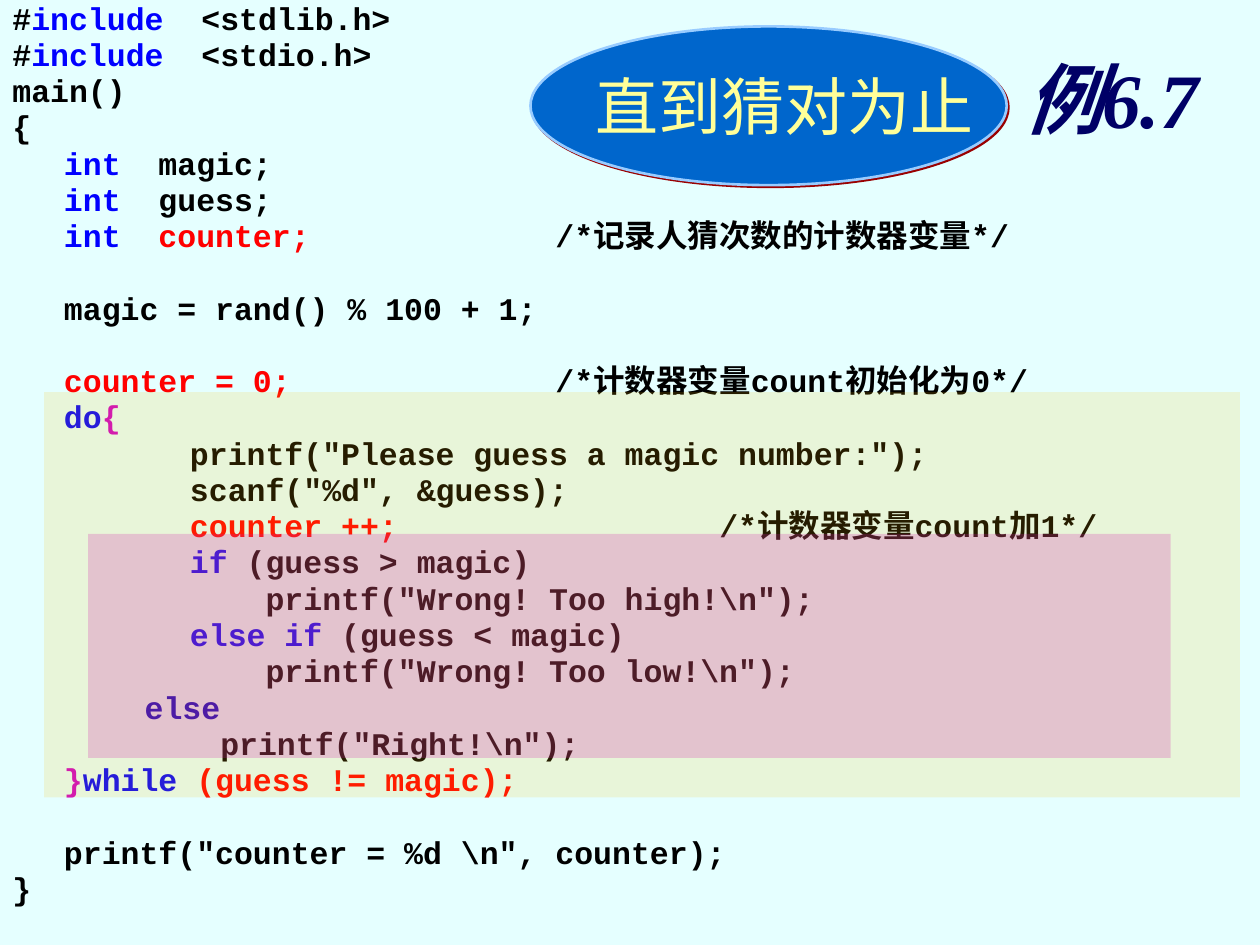
from lxml.etree import SubElement
from pptx import Presentation
from pptx.dml.color import RGBColor
from pptx.enum.shapes import MSO_SHAPE as Shape
from pptx.enum.text import MSO_ANCHOR as Anchor, MSO_AUTO_SIZE as AutoSize, PP_ALIGN as Align
from pptx.oxml import parse_xml
from pptx.oxml.ns import nsdecls, qn
from pptx.util import Inches, Pt

colour = RGBColor.from_string
deck = Presentation()
deck.slide_width, deck.slide_height = Inches(10), Inches(7.5)


def area(left, top, width, height):
    """Turn percentages of the slide into left, top, width and height."""
    across, down = deck.slide_width / 100, deck.slide_height / 100
    return int(left * across), int(top * down), int(width * across), int(height * down)


def write(para, text, name, size, ink, bold=False, italic=False):
    """Add one formatted span to a paragraph."""
    span = para.add_run()
    span.text = text
    font = span.font
    font.name, font.size, font.bold, font.italic = name, Pt(size), bold, italic
    font.color.rgb = colour(ink)
    SubElement(span._r.rPr, qn("a:ea"), typeface="Noto Sans CJK SC")


BLACK, BLUE, RED, PURPLE, NAVY = "000000", "0000FF", "FF0000", "CC00CC", "0000BF"
GAP = "gap"
CODE = [
    [("#", BLACK), ("include", BLUE), ("  <stdlib.h>", BLACK)],
    [("#", BLACK), ("include", BLUE), ("  <stdio.h>", BLACK)],
    [("main()", BLACK)],
    [("{", BLACK)],
    [("\t", BLACK), ("int", BLUE), ("  magic;", BLACK)],
    [("\t", BLACK), ("int", BLUE), ("  guess;", BLACK)],
    [("\t", BLACK), ("int  ", BLUE), ("counter;             ", RED), ("/*记录人猜次数的计数器变量*/", BLACK)],
    GAP,
    [("\tmagic = rand() % 100 + 1;", BLACK)],
    GAP,
    [("\t", BLACK), ("counter = 0;              ", RED), ("/*计数器变量count初始化为0*/", BLACK)],
    [("\t", BLACK), ("do", BLUE), ("{", PURPLE)],
    [('\t\tprintf("Please guess a magic number:");', BLACK)],
    [('\t\tscanf("%d", &guess);', BLACK)],
    [("\t\t", BLACK), ("counter ++;                 ", RED), ("/*计数器变量count加1*/", BLACK)],
    [("\t\t", BLACK), ("if", BLUE), (" (guess > magic)", BLACK)],
    [('\t\t    printf("Wrong! Too high!\\n");', BLACK)],
    [("\t\t", BLACK), ("else if", BLUE), (" (guess < magic)", BLACK)],
    [('\t\t    printf("Wrong! Too low!\\n");', BLACK)],
    [("       else", NAVY)],
    [('           printf("Right!\\n");', BLACK)],
    [("\t", BLACK), ("}", PURPLE), ("while ", BLUE), ("(guess != magic);", RED)],
    GAP,
    [('\tprintf("counter = %d \\n", counter);', BLACK)],
    [("}", BLACK)],
]
LINE_PITCH, LINE_SPACE = 20.7, 4.5

page = deck.slides.add_slide(deck.slide_layouts[5])

listing = page.shapes.add_shape(Shape.RECTANGLE, *area(0, 0, 100, 100))
listing.shadow.inherit = False
listing.fill.solid()
listing.fill.fore_color.rgb = colour("E5FFFF")
listing.line.fill.background()
frame = listing.text_frame
frame.word_wrap = True
frame.vertical_anchor = Anchor.TOP
frame.margin_top = Inches(0.06)

para, space = frame.paragraphs[0], 0
for line in CODE:
    if line == GAP:
        space += LINE_PITCH
        continue
    if line is not CODE[0]:
        para = frame.add_paragraph()
    para.alignment = Align.LEFT
    para.line_spacing = 0.75
    para.space_before = Pt(space)
    space = LINE_SPACE
    props = para._p.get_or_add_pPr()
    props.set("marL", str(Inches(0.41)))
    props.set("indent", str(-Inches(0.41)))
    props.set("defTabSz", str(Inches(1)))
    SubElement(props, qn("a:buNone"))
    stops = SubElement(props, qn("a:tabLst"))
    for stop in range(8):
        SubElement(stops, qn("a:tab"), pos=str(Inches(stop)), algn="l")
    for text, ink in line:
        write(para, text, "Courier New", 18, ink, bold=True)

for place, tint, opacity in (
    ((7, 56.5, 85.9, 23.7), PURPLE, 23),
    ((3.5, 41.5, 94.9, 42.9), "FFC000", 15),
):
    band = page.shapes.add_shape(Shape.RECTANGLE, *area(*place))
    band.shadow.inherit = False
    band.fill.solid()
    band.fill.fore_color.rgb = colour(tint)
    band.line.fill.background()
    SubElement(band._element.spPr.find(".//" + qn("a:srgbClr")), qn("a:alpha"), val=str(opacity * 1000))

badge = page.shapes.add_group_shape()
oval = badge.shapes.add_shape(Shape.OVAL, *area(42.1, 2.8, 37.8, 16.8))
oval.fill.solid()
oval.fill.fore_color.rgb = colour("0066CC")
oval.line.color.rgb = colour("99CCFF")
oval.line.width = Pt(1.5)
oval._element.spPr.append(parse_xml(
    f'<a:effectLst {nsdecls("a")}><a:outerShdw dist="{Pt(1.4)}" dir="2700000" algn="ctr" rotWithShape="0">'
    '<a:srgbClr val="990000"/></a:outerShdw></a:effectLst>'))

caption = badge.shapes.add_textbox(*area(46.9, 7.1, 30.7, 8))
frame = caption.text_frame
frame.word_wrap = True
frame.vertical_anchor = Anchor.MIDDLE
frame.margin_left = frame.margin_right = frame.margin_top = frame.margin_bottom = 0
para = frame.paragraphs[0]
para.alignment = Align.CENTER
write(para, "直到猜对为止", "Noto Sans CJK SC", 36, "FFFF99")

title = page.shapes.title
title.left, title.top, title.width, title.height = area(77.2, 5, 22.1, 12.3)
page.shapes._spTree.append(title._element)
frame = title.text_frame
frame.word_wrap = True
frame.auto_size = AutoSize.NONE
frame.vertical_anchor = Anchor.MIDDLE
para = frame.paragraphs[0]
para.alignment = Align.CENTER
para.line_spacing = 0.85
write(para, "例6.7", "Times New Roman", 44, "000066", bold=True, italic=True)

deck.save("out.pptx")
